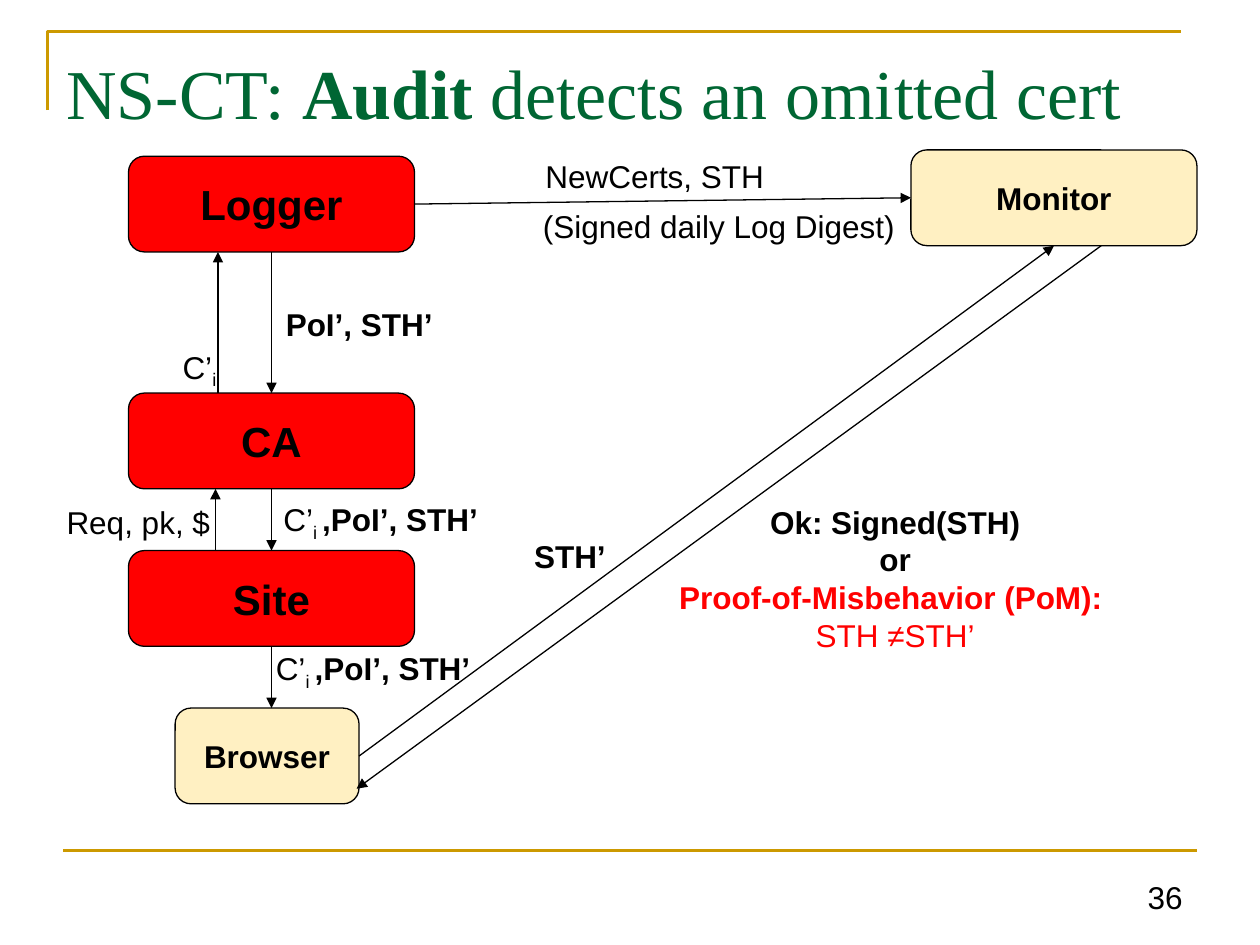
"""Build the slide on how an audit detects an omitted certificate."""
from lxml.etree import SubElement
from pptx import Presentation
from pptx.dml.color import RGBColor
from pptx.enum.shapes import MSO_CONNECTOR as Link, MSO_SHAPE as Shape
from pptx.enum.text import MSO_ANCHOR as Anchor, MSO_AUTO_SIZE as Fit, PP_ALIGN as Align
from pptx.oxml.ns import qn
from pptx.util import Inches, Pt

deck = Presentation()
deck.slide_width, deck.slide_height = Inches(10), Inches(7.5)
page = deck.slides.add_slide(deck.slide_layouts[6])
COLUMN, ROW = deck.slide_width / 80, deck.slide_height / 60
color = RGBColor.from_string
RED, CREAM, GOLD, BLACK = "FF0000", "FFF0C2", "CC9900", "000000"


def write(box, paragraphs, size=18, font="Arial", ink=BLACK, bold=False,
          align=Align.LEFT, anchor=Anchor.TOP, wrap=True, fit=Fit.NONE):
    frame = box.text_frame
    frame.word_wrap, frame.auto_size, frame.vertical_anchor = wrap, fit, anchor
    for number, spans in enumerate(paragraphs):
        para = frame.add_paragraph() if number else frame.paragraphs[0]
        para.alignment = align
        for text, changes in spans:
            if text == "\n":
                para.add_line_break()
                continue
            span = para.add_run()
            span.text = text
            span.font.name, span.font.size = font, Pt(size)
            span.font.bold = changes.get("bold", bold)
            span.font.color.rgb = color(changes.get("ink", ink))
            if changes.get("sub"):
                span.font._element.set("baseline", "-25000")


def draw_line(start, end, ink=BLACK, width=0.75, arrow=True):
    ends = [round(place * unit) for place, unit in zip(start + end, (COLUMN, ROW) * 2)]
    line = page.shapes.add_connector(Link.STRAIGHT, *ends)
    line.line.color.rgb, line.line.width = color(ink), Pt(width)
    if arrow:
        SubElement(line.line._get_or_add_ln(), qn("a:tailEnd"), type="triangle")
    SubElement(line._element.spPr, qn("a:effectLst"))
    return line


builder = page.shapes.build_freeform(3.36, 7.36, scale=(COLUMN, ROW))
builder.add_line_segments([(3.36, 2), (75.36, 2)], close=False)
corner = builder.convert_to_shape()
corner.shadow.inherit = False
corner.fill.background()
corner.line.color.rgb, corner.line.width = color(GOLD), Pt(1.5)
draw_line((4, 54), (76, 54), GOLD, 1.5, arrow=False)

BOX_WIDTH, BOX_HEIGHT = 18.16, 6.08
nodes = {}
for name, left, top, width, fill, size in [
    ("Logger", 8.16, 9.92, BOX_WIDTH, RED, 24),
    ("CA", 8.16, 24.96, BOX_WIDTH, RED, 24),
    ("Site", 8.16, 34.96, BOX_WIDTH, RED, 24),
    ("Browser", 11.12, 44.96, 11.68, CREAM, 18),
    ("Monitor", 57.84, 9.52, BOX_WIDTH, CREAM, 18),
]:
    node = page.shapes.add_shape(Shape.ROUNDED_RECTANGLE, round(left * COLUMN), round(top * ROW),
                                 round(width * COLUMN), round(BOX_HEIGHT * ROW))
    node.shadow.inherit = False
    node.fill.solid()
    node.fill.fore_color.rgb = color(fill)
    node.line.color.rgb, node.line.width = color(BLACK), Pt(0.75)
    write(node, [[(name, {})]], size=size, bold=True, align=Align.CENTER, anchor=Anchor.MIDDLE)
    nodes[name] = node

for source, source_side, target, target_side in [
    ("Logger", 2, "CA", 0),
    ("CA", 2, "Site", 0),
    ("Logger", 3, "Monitor", 1),
    ("Browser", 3, "Monitor", 2),
]:
    arrow = draw_line((0, 0), (1, 1))
    arrow.begin_connect(nodes[source], source_side)
    arrow.end_connect(nodes[target], target_side)

delivery = draw_line((17.24, 41.04), (17.24, 44.96))
delivery.begin_connect(nodes["Site"], 2)
for start, end in [
    ((13.84, 24.96), (13.84, 16)),
    ((13.68, 34.96), (13.68, 31.04)),
    ((69.92, 15.6), (22.64, 50.08)),
]:
    draw_line(start, end)

certificate = [("C’", {}), ("i", {"sub": True})]
proof = [("C’", {}), ("i ", {"sub": True}), (",PoI’, STH’", {"bold": True})]
title = [("NS-CT: ", {}), ("Audit", {"bold": True}), (" detects an omitted cert", {})]
verdict = [
    [("Ok: Signed(STH)", {})],
    [("or", {})],
    [("Proof-of-Misbehavior (PoM): ", {"ink": RED}), ("\n", {}),
     ("STH ≠STH’", {"ink": RED, "bold": False})],
]
tight = {"wrap": False, "fit": Fit.SHAPE_TO_FIT_TEXT}
for left, top, width, height, paragraphs, style in [
    (3.44, 2.4, 72.56, 6.8, [title],
     {"size": 40, "font": "Times New Roman", "ink": "006633", "anchor": Anchor.MIDDLE}),
    (17.36, 18.96, 10.96, 3.2, [[("PoI’, STH’", {})]], {"bold": True, **tight}),
    (17.2, 31.36, 14.56, 3.2, [proof], {}),
    (16.72, 40.8, 14.24, 3.2, [proof], {}),
    (33.12, 33.68, 6.24, 3.2, [[("STH’", {})]], {"bold": True, **tight}),
    (33.84, 9.6, 16.64, 3.2, [[("NewCerts, STH", {})]], tight),
    (33.68, 12.72, 24.16, 3.2, [[("(Signed daily Log Digest)", {})]], tight),
    (42.16, 31.52, 29.36, 10.48, verdict, {"bold": True, "align": Align.CENTER, **tight}),
    (10.8, 21.68, 3.84, 3.2, [certificate], tight),
    (3.44, 31.52, 13.28, 3.2, [[("Req, pk, $", {})]], {}),
    (72.08, 54.64, 3.84, 3.92, [[("36", {})]], {"anchor": Anchor.BOTTOM}),
]:
    label = page.shapes.add_textbox(round(left * COLUMN), round(top * ROW),
                                    round(width * COLUMN), round(height * ROW))
    write(label, paragraphs, **style)

deck.save("out.pptx")
